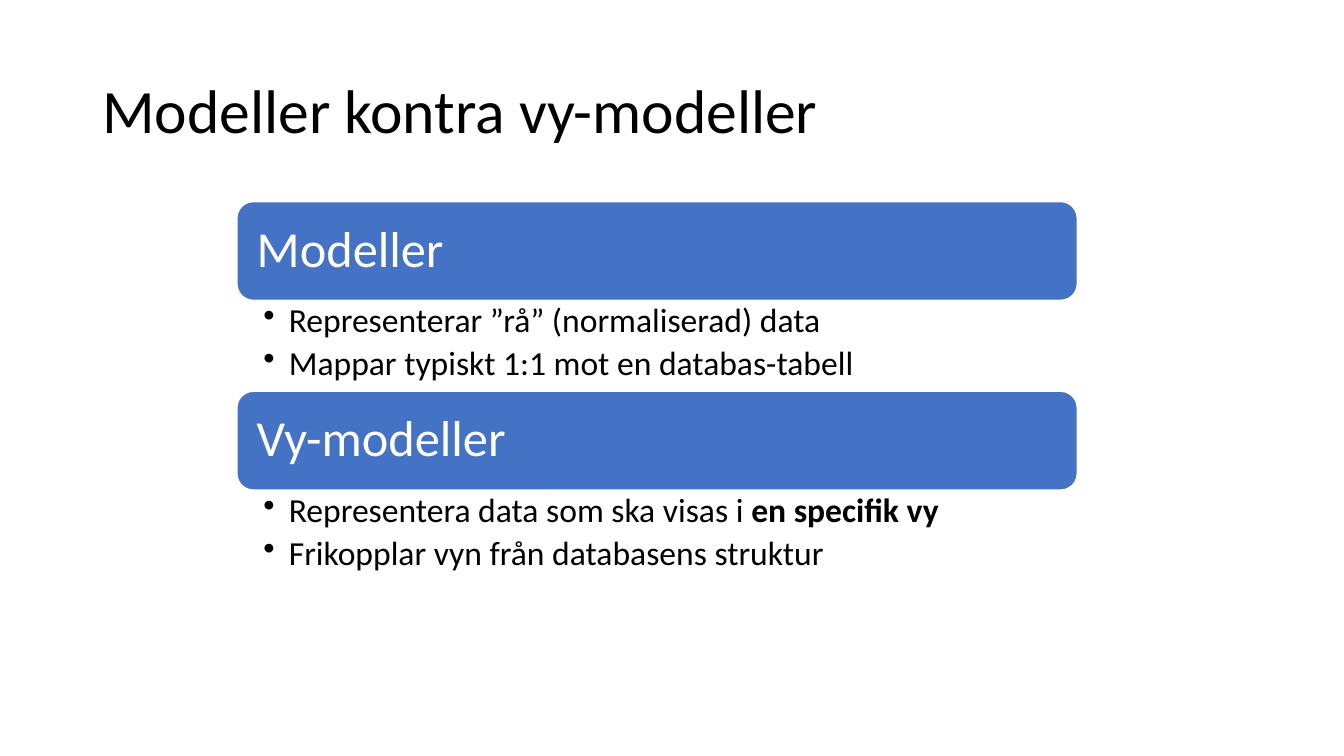
from dataclasses import dataclass

from lxml.etree import SubElement
from pptx import Presentation
from pptx.dml.color import RGBColor
from pptx.enum.shapes import MSO_SHAPE as Shape
from pptx.enum.text import MSO_ANCHOR as Anchor, PP_ALIGN as Align
from pptx.oxml.ns import qn
from pptx.util import Cm, Pt

# Content: each bullet is a list of (text, bold) runs
TITLE = "Modeller kontra vy-modeller"
SECTIONS = [
    ("Modeller", [
        [("Representerar ”rå” (normaliserad) data", False)],
        [("Mappar typiskt 1:1 mot en databas-tabell", False)],
    ]),
    ("Vy-modeller", [
        [("Representera data som ska visas i ", False), ("en specifik vy", True)],
        [("Frikopplar vyn från databasens struktur", False)],
    ]),
]


@dataclass(frozen=True)
class Theme:
    font: str = "Calibri"
    text: RGBColor = RGBColor(0x00, 0x00, 0x00)
    light: RGBColor = RGBColor(0xFF, 0xFF, 0xFF)
    accent: RGBColor = RGBColor(0x44, 0x72, 0xC4)
    title_size: Pt = Pt(44)
    header_size: Pt = Pt(36)
    bullet_size: Pt = Pt(24)


THEME = Theme()

# Layout
LEFT, TOP, WIDTH = Cm(5.97), Cm(5.08), Cm(21.18)
HEADER_HEIGHT, BODY_HEIGHT = Cm(2.49), Cm(2.29)
BULLET_INDENT = Cm(0.64)


def style_paragraph(paragraph, size, color):
    paragraph.alignment = Align.LEFT
    paragraph.line_spacing = 0.9
    paragraph.font.name = THEME.font
    paragraph.font.size = size
    paragraph.font.color.rgb = color


def set_frame(shape, anchor, left, top, right, bottom):
    frame = shape.text_frame
    frame.word_wrap = True
    frame.vertical_anchor = anchor
    frame.margin_left, frame.margin_top = Cm(left), Cm(top)
    frame.margin_right, frame.margin_bottom = Cm(right), Cm(bottom)
    return frame


def add_title(slide):
    box = slide.shapes.add_textbox(Cm(2.33), Cm(1.01), Cm(29.21), Cm(3.68))
    frame = set_frame(box, Anchor.MIDDLE, 0.25, 0.13, 0.25, 0.13)
    frame.text = TITLE
    style_paragraph(frame.paragraphs[0], THEME.title_size, THEME.text)


def add_header(slide, text, top):
    bar = slide.shapes.add_shape(Shape.ROUNDED_RECTANGLE, LEFT, top, WIDTH, HEADER_HEIGHT)
    bar.shadow.inherit = False
    bar.fill.solid()
    bar.fill.fore_color.rgb = THEME.accent
    bar.line.color.rgb = THEME.light
    bar.line.width = Pt(1)
    # The rounded corners add their own inset to the left margin
    frame = set_frame(bar, Anchor.MIDDLE, 0.38, 0.38, 0.38, 0.38)
    frame.text = text
    style_paragraph(frame.paragraphs[0], THEME.header_size, THEME.light)


def add_bullets(slide, bullets, top):
    box = slide.shapes.add_textbox(LEFT, top, WIDTH, BODY_HEIGHT)
    frame = set_frame(box, Anchor.TOP, 0.67, 0.08, 0.48, 0.08)
    for index, runs in enumerate(bullets):
        paragraph = frame.add_paragraph() if index else frame.paragraphs[0]
        style_paragraph(paragraph, THEME.bullet_size, THEME.text)
        paragraph.space_after = Pt(4.8)
        properties = paragraph._p.get_or_add_pPr()
        properties.set("marL", str(BULLET_INDENT))
        properties.set("indent", str(-BULLET_INDENT))
        bullet = SubElement(properties, qn("a:buChar"), char="•")
        properties.find(qn("a:defRPr")).addprevious(bullet)
        for text, bold in runs:
            run = paragraph.add_run()
            run.text = text
            run.font.bold = bold


def main():
    presentation = Presentation()
    presentation.slide_width, presentation.slide_height = Cm(33.87), Cm(19.05)
    slide = presentation.slides.add_slide(presentation.slide_layouts[6])

    add_title(slide)

    # Stacked header bars, each followed by its bullets
    for index, (header, bullets) in enumerate(SECTIONS):
        top = TOP + index * (HEADER_HEIGHT + BODY_HEIGHT)
        add_header(slide, header, top)
        add_bullets(slide, bullets, top + HEADER_HEIGHT)

    presentation.save("out.pptx")


if __name__ == "__main__":
    main()
